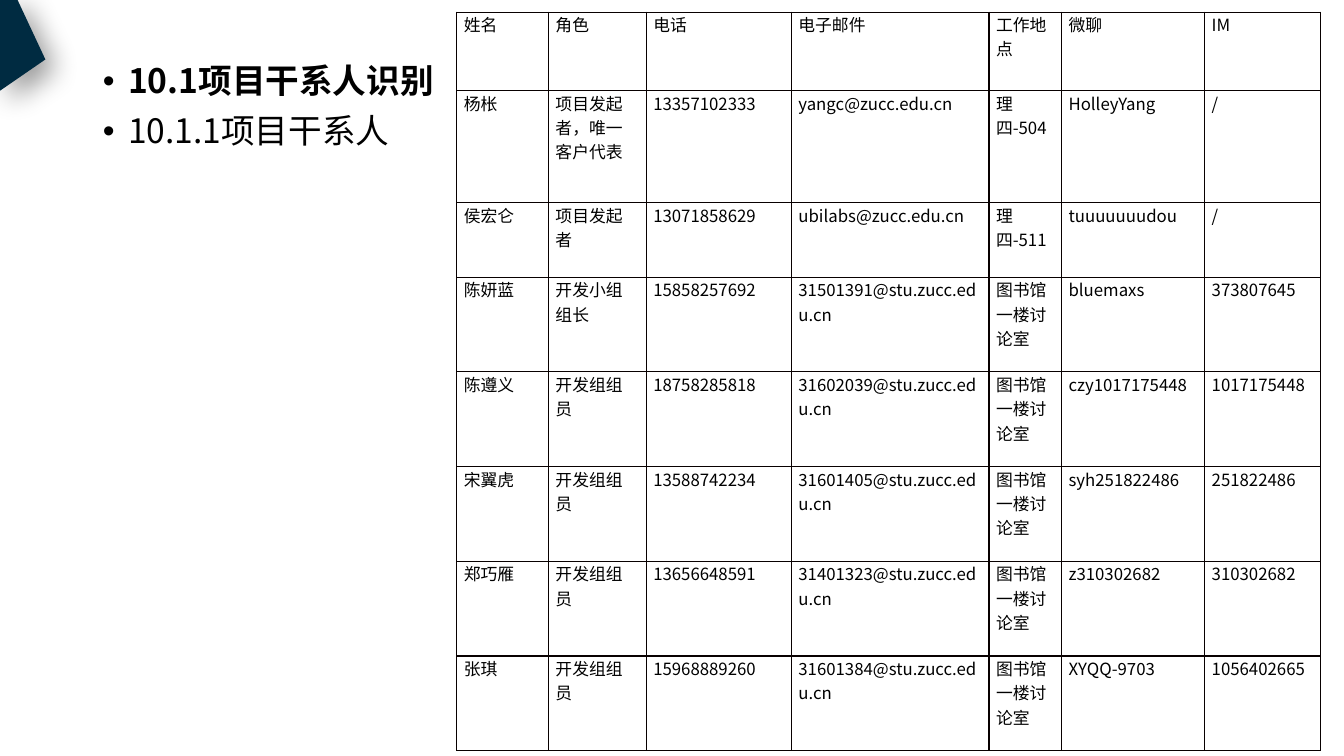
from dataclasses import dataclass

from lxml import etree
from pptx import Presentation
from pptx.dml.color import RGBColor
from pptx.oxml.ns import qn
from pptx.util import Inches, Pt


@dataclass(frozen=True)
class Theme:
    font: str = "Noto Sans CJK SC"
    text: str = "000000"
    accent: str = "002B41"
    border: str = "080000"
    heading_size: int = 24
    table_size: int = 12


def add_xml(parent, tag, **attributes):
    return etree.SubElement(parent, qn(tag), {k: str(v) for k, v in attributes.items()})


class StakeholderPage:
    def __init__(self, deck, theme):
        self.theme = theme
        self.page = deck.slides.add_slide(deck.slide_layouts[1])
        title = self.page.shapes.title.element
        title.getparent().remove(title)

    def style(self, paragraph, size, bold=False):
        font = paragraph.font
        font.name, font.size, font.bold = self.theme.font, Pt(size), bold
        font.color.rgb = RGBColor.from_string(self.theme.text)
        defaults = paragraph._p.get_or_add_pPr().find(qn("a:defRPr"))
        add_xml(defaults, "a:ea", typeface=self.theme.font)

    def headings(self, lines, left, top, width, height):
        """Fill the body placeholder with bullets; the first one is bold."""
        body = self.page.placeholders[1]
        body.left, body.top = Inches(left), Inches(top)
        body.width, body.height = Inches(width), Inches(height)
        frame = body.text_frame
        frame.text = "\n".join(lines)
        for index, paragraph in enumerate(frame.paragraphs):
            paragraph.line_spacing = 0.9
            paragraph.space_before = Pt(10 if index else 0)
            properties = paragraph._p.get_or_add_pPr()
            properties.set("marL", str(Inches(0.25)))
            properties.set("indent", str(Inches(-0.25)))
            add_xml(properties, "a:buFont", typeface="Arial")
            add_xml(properties, "a:buChar", char="•")
            self.style(paragraph, self.theme.heading_size, bold=index == 0)

    def corner(self, points):
        """Draw a filled outline with a soft shadow to the lower right."""
        start, *rest = [(Inches(x), Inches(y)) for x, y in points]
        builder = self.page.shapes.build_freeform(*start)
        builder.add_line_segments(rest, close=True)
        shape = builder.convert_to_shape()
        shape.fill.solid()
        shape.fill.fore_color.rgb = RGBColor.from_string(self.theme.accent)
        shape.line.fill.background()
        shape.shadow.inherit = False
        effects = shape.element.spPr.find(qn("a:effectLst"))
        shadow = add_xml(effects, "a:outerShdw", blurRad=Pt(20), dist=Pt(10),
                         dir=45 * 60000, algn="tl", rotWithShape=0)
        color = add_xml(shadow, "a:srgbClr", val=self.theme.text)
        add_xml(color, "a:alpha", val=40000)

    def cell(self, cell, content):
        cell.margin_left = cell.margin_right = Inches(0.07)
        cell.margin_top = cell.margin_bottom = 0
        for side in ("a:lnL", "a:lnR", "a:lnT", "a:lnB"):
            line = add_xml(cell._tc.get_or_add_tcPr(), side, w=Pt(1))
            add_xml(add_xml(line, "a:solidFill"), "a:srgbClr", val=self.theme.border)
        cell.fill.background()
        cell.text = content
        self.style(cell.text_frame.paragraphs[0], self.theme.table_size)

    def table(self, records, left, top, widths, heights):
        frame = self.page.shapes.add_table(
            len(heights), len(widths), Inches(left), Inches(top),
            Inches(sum(widths)), Inches(sum(heights)))
        table = frame.table
        table.first_row = table.horz_banding = False
        for column, width in zip(table.columns, widths):
            column.width = Inches(width)
        for row, height, record in zip(table.rows, heights, records):
            row.height = Inches(height)
            for cell, content in zip(row.cells, record):
                self.cell(cell, content)


MEMBER, ROOM, STUDENT_MAIL = "开发组组员", "图书馆一楼讨论室", "@stu.zucc.edu.cn"
STAKEHOLDERS = [
    ("姓名", "角色", "电话", "电子邮件", "工作地点", "微聊", "IM"),
    ("杨枨", "项目发起者，唯一客户代表", "13357102333", "yangc@zucc.edu.cn",
     "理四-504", "HolleyYang", "/"),
    ("侯宏仑", "项目发起者", "13071858629", "ubilabs@zucc.edu.cn",
     "理四-511", "tuuuuuuudou", "/"),
]
TEAM = [
    ("陈妍蓝", "开发小组组长", "15858257692", "31501391", "bluemaxs", "373807645"),
    ("陈遵义", MEMBER, "18758285818", "31602039", "czy1017175448", "1017175448"),
    ("宋翼虎", MEMBER, "13588742234", "31601405", "syh251822486", "251822486"),
    ("郑巧雁", MEMBER, "13656648591", "31401323", "z310302682", "310302682"),
    ("张琪", MEMBER, "15968889260", "31601384", "XYQQ-9703", "1056402665"),
]


def main():
    deck = Presentation()
    deck.slide_width, deck.slide_height = Inches(13.33), Inches(7.5)
    page = StakeholderPage(deck, Theme())
    page.headings(["10.1项目干系人识别", "10.1.1项目干系人"], 0.92, 0.59, 11.5, 6.16)
    page.corner([(0.17, -0.01), (0, -0.01), (0, 0.9), (0.45, 0.59)])
    team = [(name, role, phone, number + STUDENT_MAIL, ROOM, chat, account)
            for name, role, phone, number, chat, account in TEAM]
    page.table(STAKEHOLDERS + team, 4.53, 0.12,
               widths=[0.91, 0.97, 1.44, 1.96, 0.72, 1.42, 1.15],
               heights=[0.78, 1.11, 0.74] + [0.94] * len(team))
    deck.save("out.pptx")


if __name__ == "__main__":
    main()
